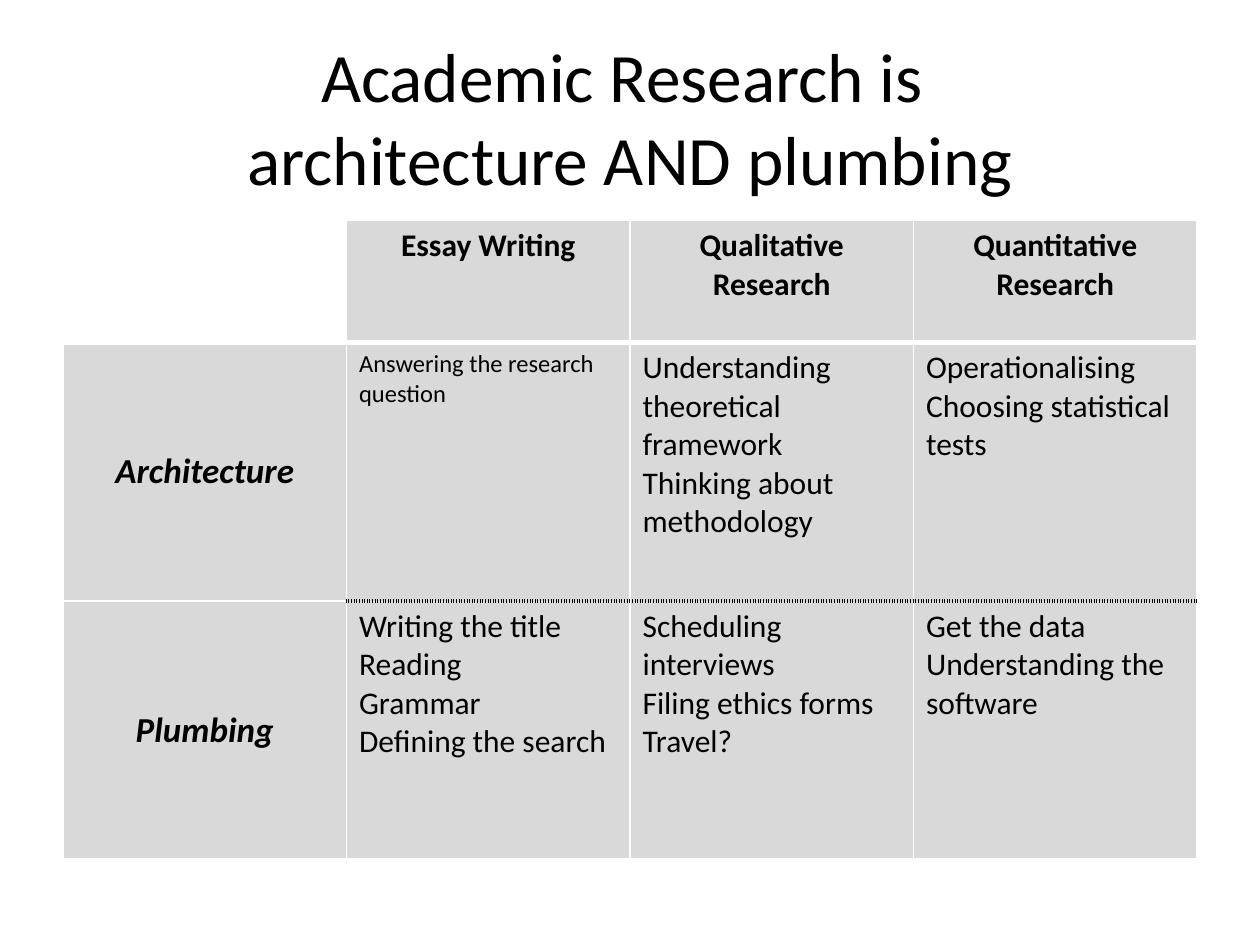
"""Build a slide with a table comparing architecture and plumbing in academic research."""
from lxml import etree
from pptx import Presentation
from pptx.dml.color import RGBColor
from pptx.enum.text import MSO_ANCHOR, PP_ALIGN
from pptx.oxml.ns import qn
from pptx.util import Inches, Pt

CENTER, LEFT = PP_ALIGN.CENTER, PP_ALIGN.LEFT
TOP, MIDDLE = MSO_ANCHOR.TOP, MSO_ANCHOR.MIDDLE
BLACK, WHITE, GREY = "000000", "FFFFFF", "D9D9D9"
TITLE_ONLY = 5


def style(paragraph, size, align, bold=False, italic=False):
    paragraph.alignment = align
    font = paragraph.font
    font.name, font.size = "Calibri", Pt(size)
    font.bold, font.italic = bold, italic
    font.color.rgb = RGBColor.from_string(BLACK)


def add_border(cell, side, color, width, dash):
    line = etree.SubElement(cell._tc.get_or_add_tcPr(), qn(f"a:ln{side}"), w=str(Pt(width)))
    fill = etree.SubElement(line, qn("a:solidFill"))
    etree.SubElement(fill, qn("a:srgbClr"), val=color)
    etree.SubElement(line, qn("a:prstDash"), val=dash)


prs = Presentation()
prs.slide_width, prs.slide_height = Inches(10), Inches(7.5)
slide = prs.slides.add_slide(prs.slide_layouts[TITLE_ONLY])

title = slide.shapes.title
title.left, title.top, title.width, title.height = (Inches(v) for v in (0.5, 0.3, 9, 1.25))
title.text_frame.text = "Academic Research is \varchitecture AND plumbing"
title.text_frame.vertical_anchor = MIDDLE
style(title.text_frame.paragraphs[0], 39.6, CENTER)

rows = [
    ["", "Essay Writing", "Qualitative Research", "Quantitative Research"],
    ["Architecture",
     "Answering the research question",
     "Understanding theoretical framework\nThinking about methodology",
     "Operationalising\nChoosing statistical tests"],
    ["Plumbing",
     "Writing the title\nReading\nGrammar\nDefining the search",
     "Scheduling interviews\nFiling ethics forms\nTravel?",
     "Get the data\nUnderstanding the software"],
]
row_heights = [0.97, 2.05, 2.05]

table = slide.shapes.add_table(
    len(rows), len(rows[0]), Inches(0.5), Inches(1.75), Inches(9), Inches(sum(row_heights))).table
table.first_row = table.horz_banding = False
for column in table.columns:
    column.width = Inches(2.25)

solid, thick, dotted = (WHITE, 1, "solid"), (WHITE, 3, "solid"), (BLACK, 2.25, "sysDot")
for r, texts in enumerate(rows):
    table.rows[r].height = Inches(row_heights[r])
    for c, text in enumerate(texts):
        cell = table.cell(r, c)
        is_header, is_label = r == 0, c == 0
        above = dotted if r == 2 and not is_label else thick if r == 1 else solid
        below = thick if is_header else dotted if r == 1 and not is_label else solid
        for side, border in zip("LRTB", (solid, solid, above, below)):
            add_border(cell, side, *border)
        cell.fill.solid()
        cell.fill.fore_color.rgb = RGBColor.from_string(GREY if text else WHITE)
        cell.vertical_anchor = MIDDLE if is_label else TOP
        cell.text = text
        size = 20 if is_label else 14 if (r, c) == (1, 1) else 18
        heading = is_header or is_label
        for paragraph in cell.text_frame.paragraphs:
            style(paragraph, size, CENTER if heading else LEFT, heading, is_label)

prs.save("out.pptx")
